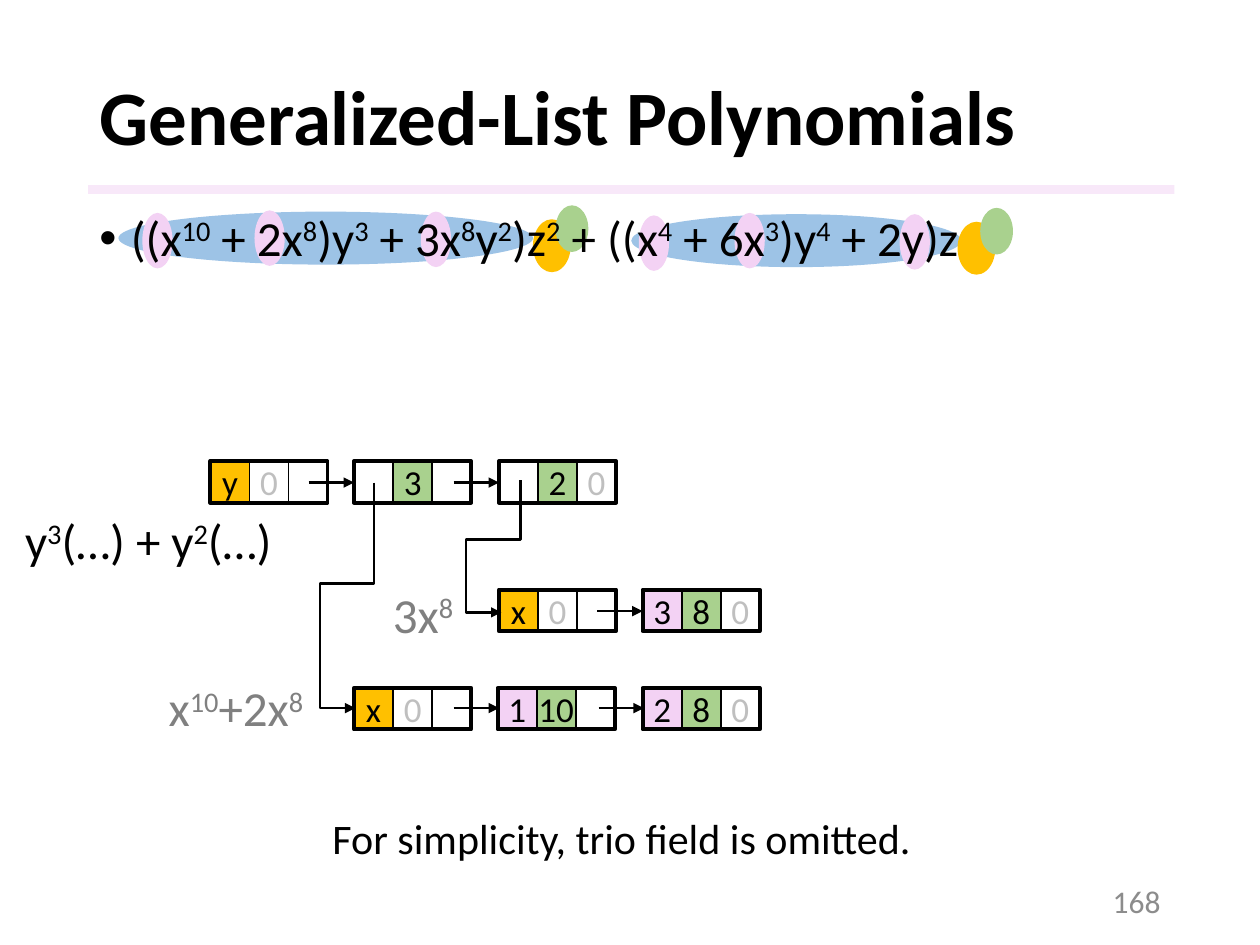
from lxml.etree import SubElement
from pptx import Presentation
from pptx.dml.color import RGBColor
from pptx.enum.shapes import MSO_CONNECTOR, MSO_SHAPE
from pptx.enum.text import MSO_ANCHOR as Anchor, MSO_AUTO_SIZE as AutoSize, PP_ALIGN as Align
from pptx.oxml.ns import qn
from pptx.util import Emu, Pt

PX = 9144  # 100 px to the inch
FONT = "Calibri"
BLACK = RGBColor(0x00, 0x00, 0x00)
WHITE = RGBColor(0xFF, 0xFF, 0xFF)
GRAY = RGBColor(0x80, 0x80, 0x80)
NUMBER_GRAY = RGBColor(0x8C, 0x8C, 0x8C)
LIGHT_GRAY = RGBColor(0xBF, 0xBF, 0xBF)
BLUE = RGBColor(0x9D, 0xC3, 0xE6)
PINK = RGBColor(0xF3, 0xD2, 0xF4)
ORANGE = RGBColor(0xFF, 0xC0, 0x00)
GREEN = RGBColor(0xA9, 0xD1, 0x8E)

FIELD_WIDTH, NODE_HEIGHT = 31, 33
Y_ROW, UPPER_X_ROW, LOWER_X_ROW = 366, 468, 546
ZERO, LINK = ("0", WHITE), ("", WHITE)

# Left, top and three (text, fill) fields of each list node
NODES = [
    (167, Y_ROW, [("y", ORANGE), ZERO, LINK]),
    (281, Y_ROW, [LINK, ("3", GREEN), LINK]),
    (396, Y_ROW, [LINK, ("2", GREEN), ZERO]),
    (396, UPPER_X_ROW, [("x", ORANGE), ZERO, LINK]),
    (510, UPPER_X_ROW, [("3", PINK), ("8", GREEN), ZERO]),
    (281, LOWER_X_ROW, [("x", ORANGE), ZERO, LINK]),
    (395, LOWER_X_ROW, [("1", PINK), ("10", GREEN), LINK]),
    (510, LOWER_X_ROW, [("2", PINK), ("8", GREEN), ZERO]),
]


def px(*lengths):
    return [Emu(length * PX) for length in lengths]


class PolynomialSlide:
    def __init__(self, presentation):
        self.slide = presentation.slides.add_slide(presentation.slide_layouts[5])
        self.shapes = self.slide.shapes

    def style(self, paragraph, size, color, bold=False):
        font = paragraph.font
        font.name, font.size, font.bold = FONT, Pt(size), bold
        font.color.rgb = color

    def add_runs(self, paragraph, text):
        """Add runs; every second part between bars is a superscript."""
        for index, part in enumerate(text.split("|")):
            if part:
                run = paragraph.add_run()
                run.text = part
                if index % 2:
                    run._r.get_or_add_rPr().set("baseline", "30000")

    def title(self, text, box):
        title = self.shapes.title
        title.left, title.top, title.width, title.height = px(*box)
        frame = title.text_frame
        frame.auto_size = AutoSize.NONE
        frame.vertical_anchor = Anchor.MIDDLE
        paragraph = frame.paragraphs[0]
        paragraph.alignment = Align.LEFT
        paragraph.line_spacing = 0.9
        self.add_runs(paragraph, text)
        self.style(paragraph, 44, BLACK, bold=True)

    def text(self, text, box, size, color=BLACK, wrap=False, align=Align.LEFT,
             anchor=Anchor.TOP, bullet=False):
        frame = self.shapes.add_textbox(*px(*box)).text_frame
        frame.word_wrap = wrap
        frame.auto_size = AutoSize.NONE if wrap else AutoSize.SHAPE_TO_FIT_TEXT
        frame.vertical_anchor = anchor
        paragraph = frame.paragraphs[0]
        paragraph.alignment = align
        if bullet:
            paragraph.line_spacing = 0.9
            properties = paragraph._p.get_or_add_pPr()
            properties.set("marL", str(25 * PX))
            properties.set("indent", str(-25 * PX))
            SubElement(properties, qn("a:buFont"), typeface="Arial")
            SubElement(properties, qn("a:buChar"), char="•")
        self.add_runs(paragraph, text)
        self.style(paragraph, size, color)

    def shape(self, kind, box, fill=None, line=None, opacity=None, shapes=None):
        shape = (shapes or self.shapes).add_shape(kind, *px(*box))
        shape.shadow.inherit = False
        if fill is None:
            shape.fill.background()
        else:
            shape.fill.solid()
            shape.fill.fore_color.rgb = fill
        if opacity:
            color = shape._element.spPr.find(qn("a:solidFill"))[0]
            SubElement(color, qn("a:alpha"), val=str(opacity * 1000))
        if line is None:
            shape.line.fill.background()
        else:
            shape.line.color.rgb, shape.line.width = BLACK, Pt(line)
        return shape

    def highlight(self, left, top, width, coefficients, variable):
        """Mark one term in z: its coefficient, inner terms, variable and exponent."""
        ovals = [(left, top, width, 42, BLUE)]
        ovals += [(x, top + shift, 24, 44, PINK)
                  for x, shift in zip(coefficients, (0, -1, 1))]
        ovals += [(variable, top + 6, 30, 42, ORANGE),
                  (variable + 18, top - 5, 26, 37, GREEN)]
        for *box, fill in ovals:
            self.shape(MSO_SHAPE.OVAL, box, fill)

    def node(self, left, top, fields):
        members = self.shapes.add_group_shape().shapes
        for index, (text, fill) in enumerate(fields):
            box = (left + index * FIELD_WIDTH, top, FIELD_WIDTH, NODE_HEIGHT)
            cell = self.shape(MSO_SHAPE.RECTANGLE, box, fill, 1, shapes=members)
            if text:
                frame = cell.text_frame
                frame.margin_left = frame.margin_right = 0
                frame.vertical_anchor = Anchor.MIDDLE
                paragraph = frame.paragraphs[0]
                paragraph.alignment = Align.CENTER
                self.add_runs(paragraph, text)
                self.style(paragraph, 20, LIGHT_GRAY if text == "0" else BLACK)
        outline = (left, top, len(fields) * FIELD_WIDTH, NODE_HEIGHT)
        self.shape(MSO_SHAPE.RECTANGLE, outline, line=2.25, shapes=members)

    def style_arrow(self, arrow):
        arrow.line.color.rgb, arrow.line.width = BLACK, Pt(1.5)
        properties = arrow._element.spPr
        SubElement(properties.find(qn("a:ln")), qn("a:tailEnd"), type="triangle")
        SubElement(properties, qn("a:effectLst"))

    def link(self, left, y):
        self.style_arrow(self.shapes.add_connector(
            MSO_CONNECTOR.STRAIGHT, *px(left, y, left + 36, y)))

    def elbow(self, start, *points):
        builder = self.shapes.build_freeform(*start, scale=PX)
        builder.add_line_segments(points, close=False)
        shape = builder.convert_to_shape()
        shape.fill.background()
        self.style_arrow(shape)


def main():
    presentation = Presentation()
    presentation.slide_width, presentation.slide_height = px(1000, 750)
    page = PolynomialSlide(presentation)

    page.shape(MSO_SHAPE.RECTANGLE, (70, 147, 862, 7), PINK, opacity=50)
    page.highlight(501, 170, 262, (714, 583, 507), 760)
    page.highlight(94, 168, 329, (334, 202, 113), 423)
    page.title("Generalized-List Polynomials", (69, 40, 862, 111))
    page.text("((x|10| + 2x|8|)y|3| + 3x|8|y|2|)z|2| + ((x|4| + 6x|3|)y|4| + 2y)z",
              (69, 165, 862, 558), 28, wrap=True, bullet=True)
    page.text("168", (706, 695, 225, 40), 18, NUMBER_GRAY, wrap=True,
              align=Align.RIGHT, anchor=Anchor.MIDDLE)

    for left, top, fields in NODES:
        page.node(left, top, fields)
    for left, y in [(245, 383), (360, 383), (474, 485), (475, 562), (360, 562)]:
        page.link(left, y)
    page.elbow((413, 381), (413, 428), (370, 428), (370, 486), (398, 486))
    page.elbow((297, 383), (297, 463), (254, 463), (254, 562), (282, 562))

    page.text("y|3|(…) + y|2|(…)", (10, 400, 222, 57), 28)
    page.text("x|10|+2x|8|", (124, 533, 134, 57), 28, GRAY)
    page.text("3x|8|", (302, 459, 71, 57), 28, GRAY)
    page.text("For simplicity, trio field is omitted.", (254, 640, 484, 50), 24)
    presentation.save("out.pptx")


if __name__ == "__main__":
    main()
